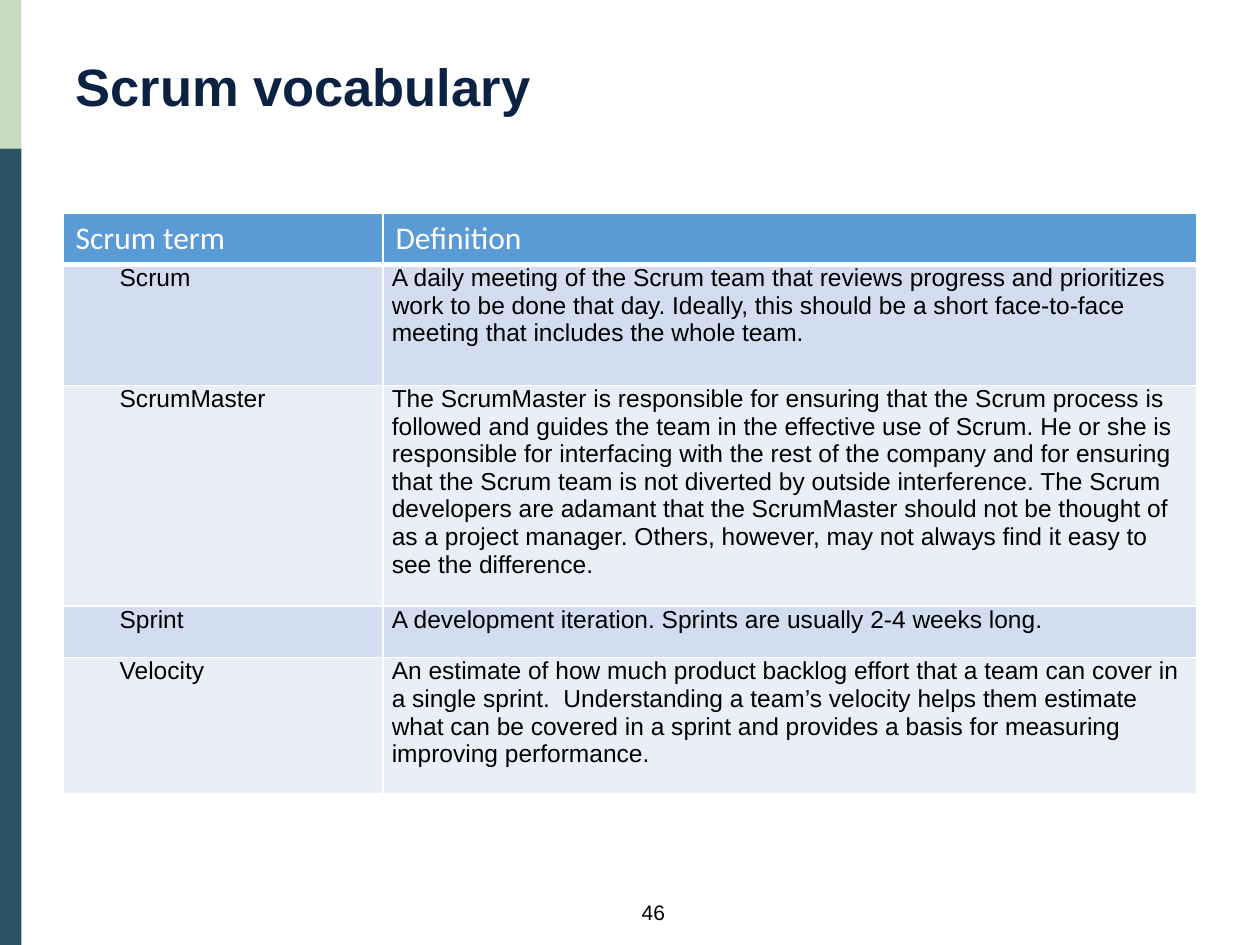
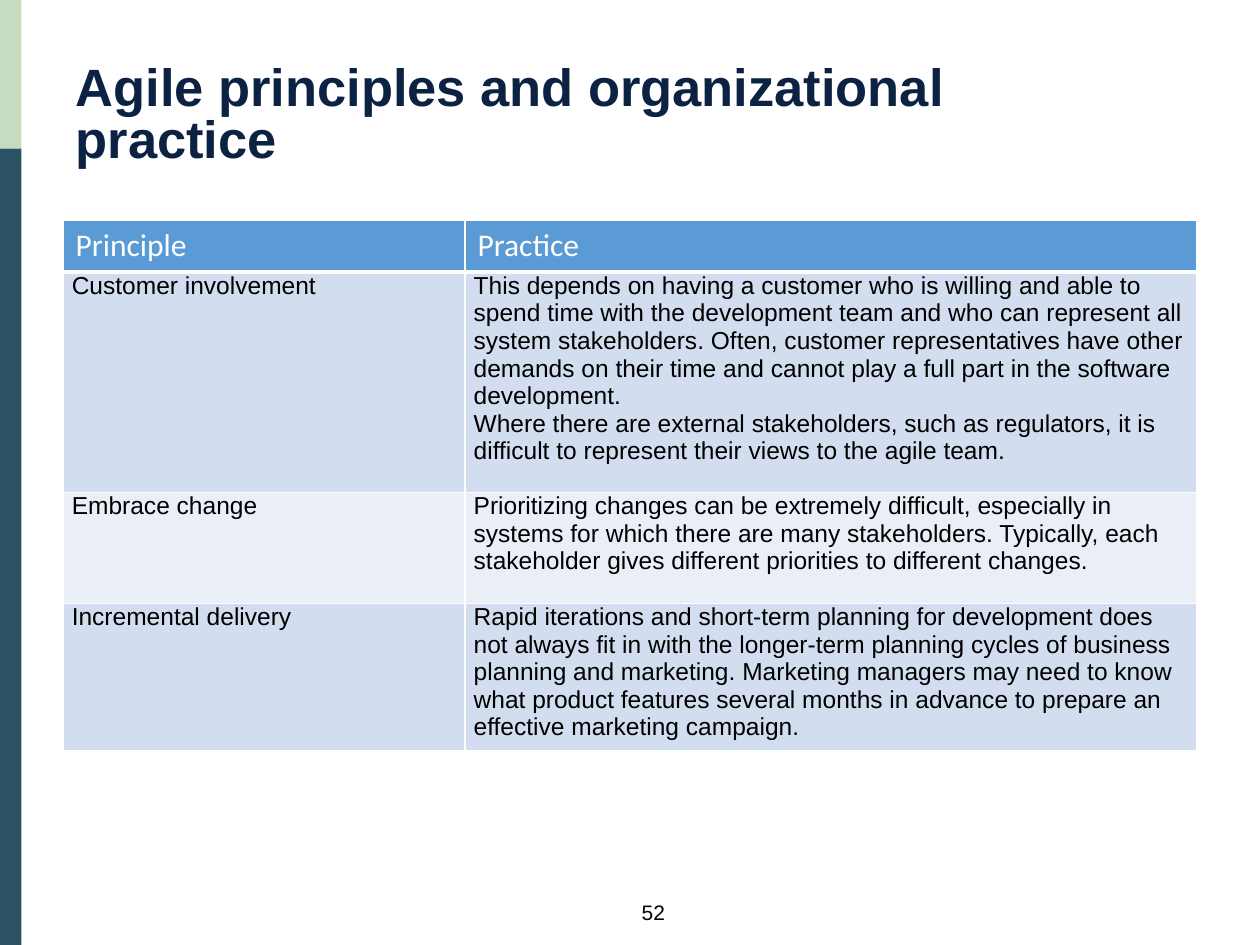
from dataclasses import dataclass

from lxml import etree
from pptx import Presentation
from pptx.dml.color import RGBColor
from pptx.enum.shapes import MSO_SHAPE
from pptx.enum.text import MSO_ANCHOR, MSO_AUTO_SIZE, PP_ALIGN
from pptx.oxml.ns import qn
from pptx.util import Inches, Pt

RECTANGLE = MSO_SHAPE.RECTANGLE
TOP = MSO_ANCHOR.TOP
NO_FIT = MSO_AUTO_SIZE.NONE
LEFT, CENTER = PP_ALIGN.LEFT, PP_ALIGN.CENTER


@dataclass(frozen=True)
class Theme:
    title: str = "0B2242"
    text: str = "000000"
    white: str = "FFFFFF"
    header: str = "5B9BD5"
    stripes: tuple = ("D2DEEF", "EAEFF7")
    band_top: str = "C7DBC1"
    band_bottom: str = "2C5364"
    font: str = "Arial"
    header_font: str = "Calibri"
    title_size: int = 30
    header_size: int = 18
    body_size: int = 14
    number_size: int = 12


THEME = Theme()

# Shared grid, in inches
WIDTH, HEIGHT = 10, 7.5
MARGIN = 0.05 * WIDTH
TABLE_WIDTH = WIDTH - 2 * MARGIN
BAND_WIDTH, BAND_SPLIT = 0.17, 1.18
HEADER_HEIGHT = 0.41
CELL_INSET = 0.07

# Content of the two slides
SLIDES = [
    dict(
        title="Scrum vocabulary", number="46",
        top=1.69, term_width=2.54, term_indent=0.38,
        header=("Scrum term", "Definition"),
        rows=[
            (0.96, "Scrum",
             "A daily meeting of the Scrum team that reviews progress and "
             "prioritizes work to be done that day. Ideally, this should be a "
             "short face-to-face meeting that includes the whole team."),
            (1.75, "ScrumMaster",
             "The ScrumMaster is responsible for ensuring that the Scrum "
             "process is followed and guides the team in the effective use of "
             "Scrum. He or she is responsible for interfacing with the rest of "
             "the company and for ensuring that the Scrum team is not diverted "
             "by outside interference. The Scrum developers are adamant that "
             "the ScrumMaster should not be thought of as a project manager. "
             "Others, however, may not always find it easy to see the "
             "difference."),
            (0.41, "Sprint",
             "A development iteration. Sprints are usually 2-4 weeks long."),
            (1.08, "Velocity",
             "An estimate of how much product backlog effort that a team can "
             "cover in a single sprint.  Understanding a team’s velocity helps "
             "them estimate what can be covered in a sprint and provides a "
             "basis for measuring improving performance."),
        ],
    ),
    dict(
        title="Agile principles and organizational practice", number="52",
        top=1.75, term_width=3.19, term_indent=0,
        header=("Principle", "Practice"),
        rows=[
            (1.75, "Customer involvement",
             "This depends on having a customer who is willing and able to "
             "spend time with the development team and who can represent all "
             "system stakeholders. Often, customer representatives have other "
             "demands on their time and cannot play a full part in the "
             "software development.\n"
             "Where there are external stakeholders, such as regulators, it is "
             "difficult to represent their views to the agile team."),
            (0.88, "Embrace change",
             "Prioritizing changes can be extremely difficult, especially in "
             "systems for which there are many stakeholders. Typically, each "
             "stakeholder gives different priorities to different changes."),
            (1.08, "Incremental delivery",
             "Rapid iterations and short-term planning for development does "
             "not always fit in with the longer-term planning cycles of "
             "business planning and marketing. Marketing managers may need to "
             "know what product features several months in advance to prepare "
             "an effective marketing campaign."),
        ],
    ),
]


def write(frame, text, font, size, color, bold=False, align=LEFT):
    frame.text = text
    for paragraph in frame.paragraphs:
        paragraph.alignment = align
        paragraph.font.name = font
        paragraph.font.size = Pt(size)
        paragraph.font.bold = bold
        paragraph.font.color.rgb = RGBColor.from_string(color)


def paint_cell(cell, color, bottom=1):
    """Give a cell its white borders and its fill."""
    properties = cell._tc.get_or_add_tcPr()
    for side, points in (("L", 1), ("R", 1), ("T", 1), ("B", bottom)):
        line = etree.SubElement(properties, qn(f"a:ln{side}"), w=str(Pt(points)))
        fill = etree.SubElement(line, qn("a:solidFill"))
        etree.SubElement(fill, qn("a:srgbClr"), val=THEME.white)
    cell.fill.solid()
    cell.fill.fore_color.rgb = RGBColor.from_string(color)


deck = Presentation()
deck.slide_width, deck.slide_height = Inches(WIDTH), Inches(HEIGHT)
title_only = deck.slide_layouts[5]

for content in SLIDES:
    slide = deck.slides.add_slide(title_only)

    # Side bands
    for top, bottom, color in ((0, BAND_SPLIT, THEME.band_top),
                               (BAND_SPLIT, HEIGHT, THEME.band_bottom)):
        band = slide.shapes.add_shape(RECTANGLE, 0, Inches(top),
                                      Inches(BAND_WIDTH), Inches(bottom - top))
        band.shadow.inherit = False
        band.fill.solid()
        band.fill.fore_color.rgb = RGBColor.from_string(color)
        band.line.fill.background()

    # Title
    title = slide.shapes.title
    title.left, title.top = Inches(MARGIN), Inches(0.46)
    title.width, title.height = Inches(8.36), Inches(0.68)
    heading = title.text_frame
    heading.word_wrap, heading.auto_size = True, NO_FIT
    heading.vertical_anchor = TOP
    write(heading, content["title"], THEME.font, THEME.title_size, THEME.title,
          bold=True)
    heading.paragraphs[0].line_spacing = Pt(THEME.title_size)

    # Page number
    number = slide.shapes.add_textbox(Inches(4.42), Inches(7.09),
                                      Inches(1.53), Inches(0.3)).text_frame
    number.word_wrap = True
    write(number, content["number"], THEME.font, THEME.number_size, THEME.text,
          align=CENTER)

    # Table grid
    rows = content["rows"]
    heights = [HEADER_HEIGHT] + [row[0] for row in rows]
    table = slide.shapes.add_table(
        len(heights), 2, Inches(MARGIN), Inches(content["top"]),
        Inches(TABLE_WIDTH), Inches(sum(heights))).table
    table.columns[0].width = Inches(content["term_width"])
    table.columns[1].width = Inches(TABLE_WIDTH - content["term_width"])
    for table_row, height in zip(table.rows, heights):
        table_row.height = Inches(height)

    # Header row
    for cell, label in zip(table.rows[0].cells, content["header"]):
        paint_cell(cell, THEME.header, bottom=3)
        write(cell.text_frame, label, THEME.header_font, THEME.header_size,
              THEME.white)

    # Body rows
    for index, (_, *texts) in enumerate(rows):
        cells = table.rows[index + 1].cells
        for cell, text in zip(cells, texts):
            paint_cell(cell, THEME.stripes[index % 2])
            cell.margin_left = cell.margin_right = Inches(CELL_INSET)
            cell.margin_top = cell.margin_bottom = 0
            write(cell.text_frame, text, THEME.font, THEME.body_size, THEME.text)
        term = table.cell(index + 1, 0).text_frame.paragraphs[0]
        term._p.get_or_add_pPr().set("indent", str(Inches(content["term_indent"])))

deck.save("out.pptx")
